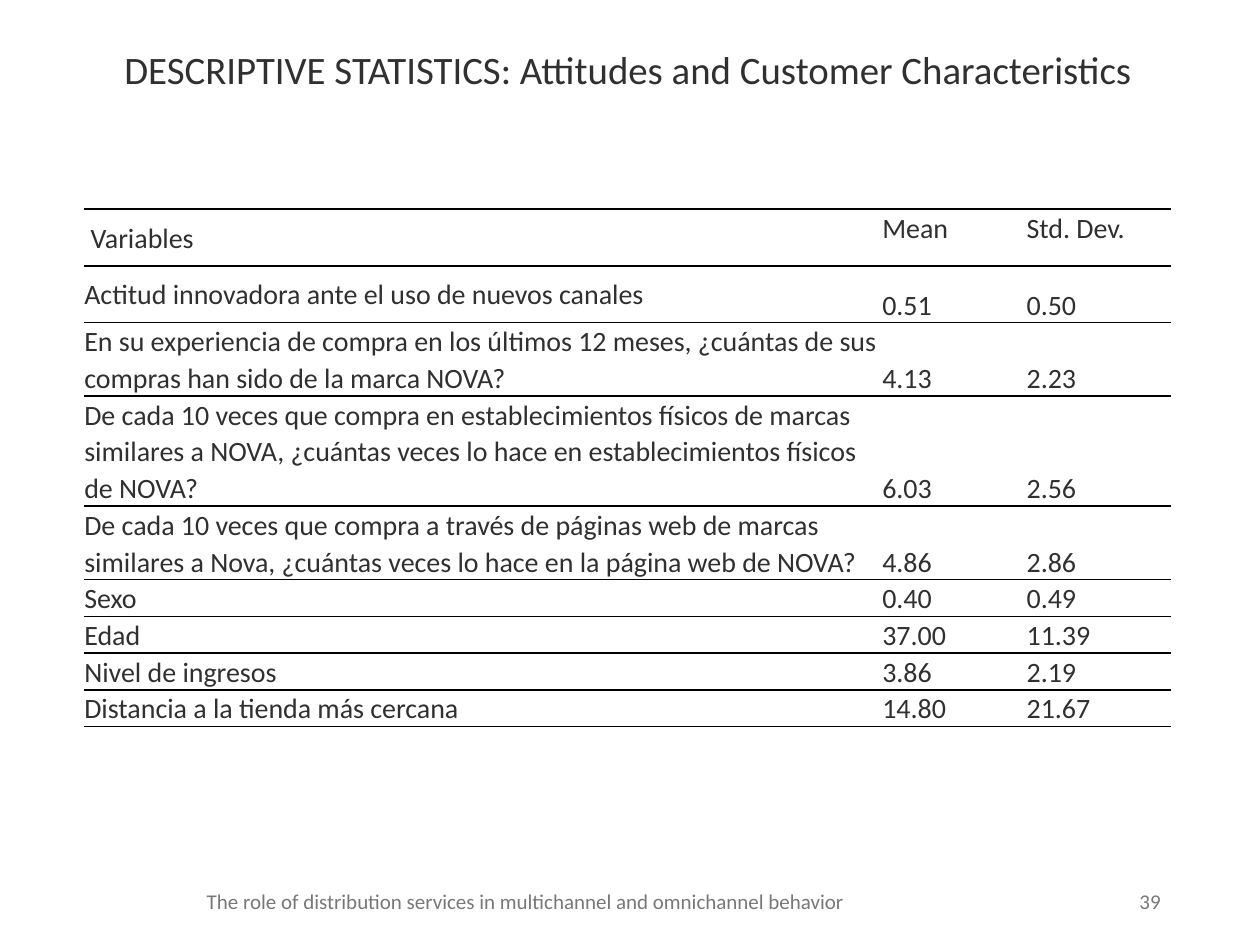
import pptx
import pptx.util
import pptx.dml.color
import pptx.enum.text
import pptx.oxml
import pptx.oxml.ns

Pt = pptx.util.Pt
ALIGN = pptx.enum.text.PP_ALIGN
ANCHOR = pptx.enum.text.MSO_ANCHOR
INK, GREY, RULE = "303030", "787878", "000000"

COLUMN_WIDTHS = [456, 82.5, 82.5]
LINE_HEIGHT = 21
HEADING_HEIGHT = 32.4
ROWS = [
    (" Variables", "Mean", "Std. Dev."),
    ("Actitud innovadora ante el uso de nuevos canales", "0.51", "0.50"),
    ("En su experiencia de compra en los últimos 12 meses, ¿cuántas de sus "
     "compras han sido de la marca NOVA?", "4.13", "2.23"),
    ("De cada 10 veces que compra en establecimientos físicos de marcas "
     "similares a NOVA, ¿cuántas veces lo hace en establecimientos físicos "
     "de NOVA?", "6.03", "2.56"),
    ("De cada 10 veces que compra a través de páginas web de marcas "
     "similares a Nova, ¿cuántas veces lo hace en la página web de NOVA?",
     "4.86", "2.86"),
    ("Sexo", "0.40", "0.49"),
    ("Edad", "37.00", "11.39"),
    ("Nivel de ingresos", "3.86", "2.19"),
    ("Distancia a la tienda más cercana", "14.80", "21.67"),
]
ROW_HEIGHTS = [HEADING_HEIGHT] * 2 + [LINE_HEIGHT * lines for lines in (2, 3, 2, 1, 1, 1, 1)]


def color(value):
    """Return the colour for a hex string."""
    return pptx.dml.color.RGBColor.from_string(value)


def write(text_frame, text, size, ink, align=None, line_spacing=None, space_after=0):
    """Set one formatted paragraph in a text frame."""
    text_frame.text = text
    paragraph = text_frame.paragraphs[0]
    paragraph.alignment = align
    paragraph.line_spacing = line_spacing
    paragraph.space_before = Pt(0)
    paragraph.space_after = Pt(space_after)
    font = paragraph.runs[0].font
    font.name, font.size, font.bold = "Calibri", Pt(size), False
    font.color.rgb = color(ink)


def add_title(slide, left, top, width, height):
    """Place and format the title placeholder."""
    title = slide.shapes.title
    title.left, title.top, title.width, title.height = map(Pt, (left, top, width, height))
    frame = title.text_frame
    write(frame, "DESCRIPTIVE STATISTICS: Attitudes and Customer Characteristics",
          22.2, INK, ALIGN.CENTER, 0.9, 9)
    frame.word_wrap = True
    frame.auto_size = pptx.enum.text.MSO_AUTO_SIZE.NONE
    frame.vertical_anchor = ANCHOR.MIDDLE
    frame.margin_left = frame.margin_right = Pt(5)
    frame.margin_top = frame.margin_bottom = Pt(2.5)


def rule_cell(cell):
    """Give a cell horizontal rules and no vertical ones."""
    properties = cell._tc.get_or_add_tcPr()
    namespace = pptx.oxml.ns.nsdecls("a")
    solid = f'<a:solidFill><a:srgbClr val="{RULE}"/></a:solidFill>'
    sides = [("lnL", "<a:noFill/>"), ("lnR", "<a:noFill/>"), ("lnT", solid), ("lnB", solid)]
    for index, (side, fill) in enumerate(sides):
        border = pptx.oxml.parse_xml(f'<a:{side} {namespace} w="{Pt(1)}">{fill}</a:{side}>')
        properties.insert(index, border)


def add_statistics(slide, left, top, width):
    """Build the table of means and deviations."""
    frame = slide.shapes.add_table(len(ROWS), len(COLUMN_WIDTHS), Pt(left), Pt(top),
                                   Pt(width), Pt(sum(ROW_HEIGHTS)))
    table = frame.table
    table.first_row = table.horz_banding = False
    for column, share in zip(table.columns, COLUMN_WIDTHS):
        column.width = Pt(width * share / sum(COLUMN_WIDTHS))
    for row_index, (row, height, values) in enumerate(zip(table.rows, ROW_HEIGHTS, ROWS)):
        row.height = Pt(height)
        for column_index, (cell, value) in enumerate(zip(row.cells, values)):
            cell.margin_left = cell.margin_right = cell.margin_top = cell.margin_bottom = 0
            number_anchor = ANCHOR.BOTTOM if row_index else ANCHOR.TOP
            cell.vertical_anchor = number_anchor if column_index else ANCHOR.MIDDLE
            write(cell.text_frame, value, 16, INK, line_spacing=1.07, space_after=8)
            cell.fill.background()
            rule_cell(cell)


def add_footer(slide, left, top, width, height):
    """Place the footer line and the page number."""
    page_width = 162
    parts = [
        ("The role of distribution services in multichannel and omnichannel behavior",
         left, 459.4, ALIGN.CENTER),
        ("39", left + width - page_width, page_width, ALIGN.RIGHT),
    ]
    for text, part_left, part_width, align in parts:
        shape = slide.shapes.add_textbox(Pt(part_left), Pt(top), Pt(part_width), Pt(height))
        shape.text_frame.word_wrap = True
        shape.text_frame.vertical_anchor = ANCHOR.MIDDLE
        write(shape.text_frame, text, 12, GREY, align)


def main():
    """Build and save the slide."""
    presentation = pptx.Presentation()
    presentation.slide_width, presentation.slide_height = Pt(720), Pt(540)
    slide = presentation.slides.add_slide(presentation.slide_layouts[5])
    add_footer(slide, 70.6, 500.4, 599.7, 28.8)
    add_title(slide, 49, 21.6, 620, 38.9)
    add_statistics(slide, 48.2, 119.5, 621)
    presentation.save("out.pptx")


if __name__ == "__main__":
    main()
